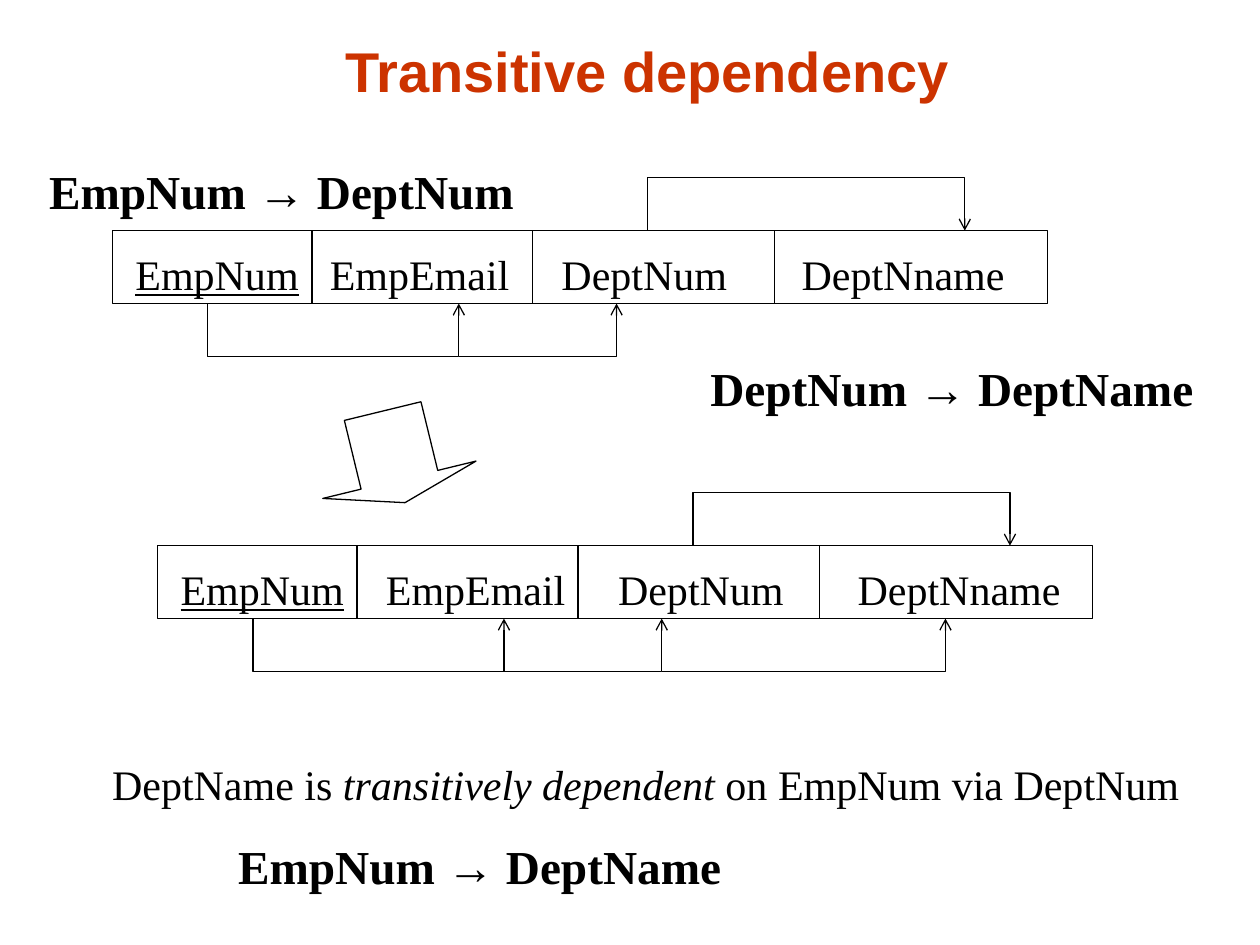
from itertools import accumulate

from lxml.etree import SubElement
from pptx import Presentation
from pptx.dml.color import RGBColor
from pptx.enum.shapes import MSO_SHAPE
from pptx.enum.text import MSO_ANCHOR, PP_ALIGN
from pptx.oxml.ns import qn
from pptx.util import Cm, Pt

COLORS = {"title": "CC3300", "ink": "000000", "paper": "FFFFFF"}
FIELDS = ["EmpNum", "EmpEmail", "DeptNum", "DeptNname"]
WIDTHS = [4.02, 4.45, 4.87, 5.51]
ROW_H = 1.47
RISE = 1.07
# Arrow positions, measured from the left edge of a row
EMP_NUM, EMAIL, DEPT_IN, DEPT_OUT, NAME_IN, NAME_TOP = 1.92, 6.98, 10.16, 10.79, 15.88, 17.18


class Diagram:
    def __init__(self, slide, font="Times New Roman", line=0.75):
        self.slide = slide
        self.font = font
        self.line = line

    def outline(self, sp, fill=None):
        sp.shadow.inherit = False
        sp.line.color.rgb = RGBColor.from_string(COLORS["ink"])
        sp.line.width = Pt(self.line)
        if fill:
            sp.fill.solid()
            sp.fill.fore_color.rgb = RGBColor.from_string(COLORS[fill])
        else:
            sp.fill.background()

    def run(self, p, text, size=24, color="ink", font=None, bold=False, italic=False, underline=False):
        r = p.add_run()
        r.text = text
        r.font.name = font or self.font
        r.font.size = Pt(size)
        r.font.bold, r.font.italic, r.font.underline = bold, italic, underline
        r.font.color.rgb = RGBColor.from_string(COLORS[color])

    def textbox(self, x, y, w, h, wrap=True, anchor=MSO_ANCHOR.TOP):
        tf = self.slide.shapes.add_textbox(Cm(x), Cm(y), Cm(w), Cm(h)).text_frame
        tf.word_wrap = wrap
        tf.vertical_anchor = anchor
        return tf

    def heading(self, text, x, y, w, h):
        p = self.textbox(x, y, w, h, anchor=MSO_ANCHOR.BOTTOM).paragraphs[0]
        p.alignment = PP_ALIGN.CENTER
        self.run(p, text, 32, "title", "Arial", bold=True)

    def dependency(self, text, x, y, w):
        tf = self.textbox(x, y, w, 1.42, wrap=False)
        self.run(tf.paragraphs[0], text, 27, bold=True)

    def cell(self, text, x, y, w, inset, key):
        sp = self.slide.shapes.add_shape(MSO_SHAPE.RECTANGLE, Cm(x), Cm(y), Cm(w), Cm(ROW_H))
        self.outline(sp)
        tf = sp.text_frame
        tf.vertical_anchor = MSO_ANCHOR.TOP
        tf.margin_left, tf.margin_top = Cm(inset), Cm(0.36)
        tf.margin_right = tf.margin_bottom = 0
        p = tf.paragraphs[0]
        p.alignment = PP_ALIGN.LEFT
        self.run(p, text, underline=key)

    def arrow(self, *points):
        """Draw an open path through the points, with an arrowhead at its end."""
        (x, y), *rest = [(Cm(px), Cm(py)) for px, py in points]
        builder = self.slide.shapes.build_freeform(x, y)
        builder.add_line_segments(rest, close=False)
        sp = builder.convert_to_shape()
        self.outline(sp)
        SubElement(sp.line._get_or_add_ln(), qn("a:tailEnd"), type="arrow")

    def relation(self, x, y, insets, targets):
        """Draw a row of fields; EmpNum determines the targets, DeptNum the name."""
        lefts = accumulate(WIDTHS[:-1], initial=x)
        for i, (text, left, w, inset) in enumerate(zip(FIELDS, lefts, WIDTHS, insets)):
            self.cell(text, left, y, w, inset, key=i == 0)
        bottom = y + ROW_H
        low, high = bottom + RISE, y - RISE
        first, *others = [x + t for t in targets]
        start = x + EMP_NUM
        self.arrow((start, bottom), (start, low), (first, low), (first, bottom))
        previous = first
        for target in others:
            self.arrow((previous, low), (target, low), (target, bottom))
            previous = target
        out, name = x + DEPT_OUT, x + NAME_TOP
        self.arrow((out, y), (out, high), (name, high), (name, y))

    def block_arrow(self, x, y, w, h, rotation):
        sp = self.slide.shapes.add_shape(MSO_SHAPE.DOWN_ARROW, Cm(x), Cm(y), Cm(w), Cm(h))
        sp.adjustments[0], sp.adjustments[1] = 0.5, 0.25
        sp.rotation = rotation
        self.outline(sp, "paper")

    def conclusion(self, x, y, w, h):
        tf = self.textbox(x, y, w, h)
        p = tf.paragraphs[0]
        p.line_spacing = 1.5
        self.run(p, "DeptName is ")
        self.run(p, "transitively dependent", italic=True)
        self.run(p, " on EmpNum via DeptNum")
        p = tf.add_paragraph()
        p.line_spacing = 1.5
        p.level = 2
        pPr = p._p.get_or_add_pPr()
        pPr.set("marL", str(Cm(2.54)))
        pPr.set("indent", "0")
        self.run(p, "EmpNum → DeptName", 27, bold=True)


def main():
    prs = Presentation()
    prs.slide_width, prs.slide_height = Cm(25.4), Cm(19.05)
    d = Diagram(prs.slides.add_slide(prs.slide_layouts[6]))
    d.heading("Transitive dependency", 2.26, -0.97, 21.59, 3.18)
    d.relation(2.27, 4.65, [0.46, 0.36, 0.58, 0.55], [EMAIL, DEPT_IN])
    d.block_arrow(6.35, 8.26, 3.18, 1.9, 346.3)
    d.relation(3.18, 11, [0.46, 0.58, 0.81, 0.77], [EMAIL, DEPT_IN, NAME_IN])
    d.conclusion(2.01, 14.66, 22.66, 3.53)
    d.dependency("EmpNum → DeptNum", 0.74, 3.15, 9.96)
    d.dependency("DeptNum → DeptName", 14.07, 7.11, 10.34)
    prs.save("out.pptx")


if __name__ == "__main__":
    main()
